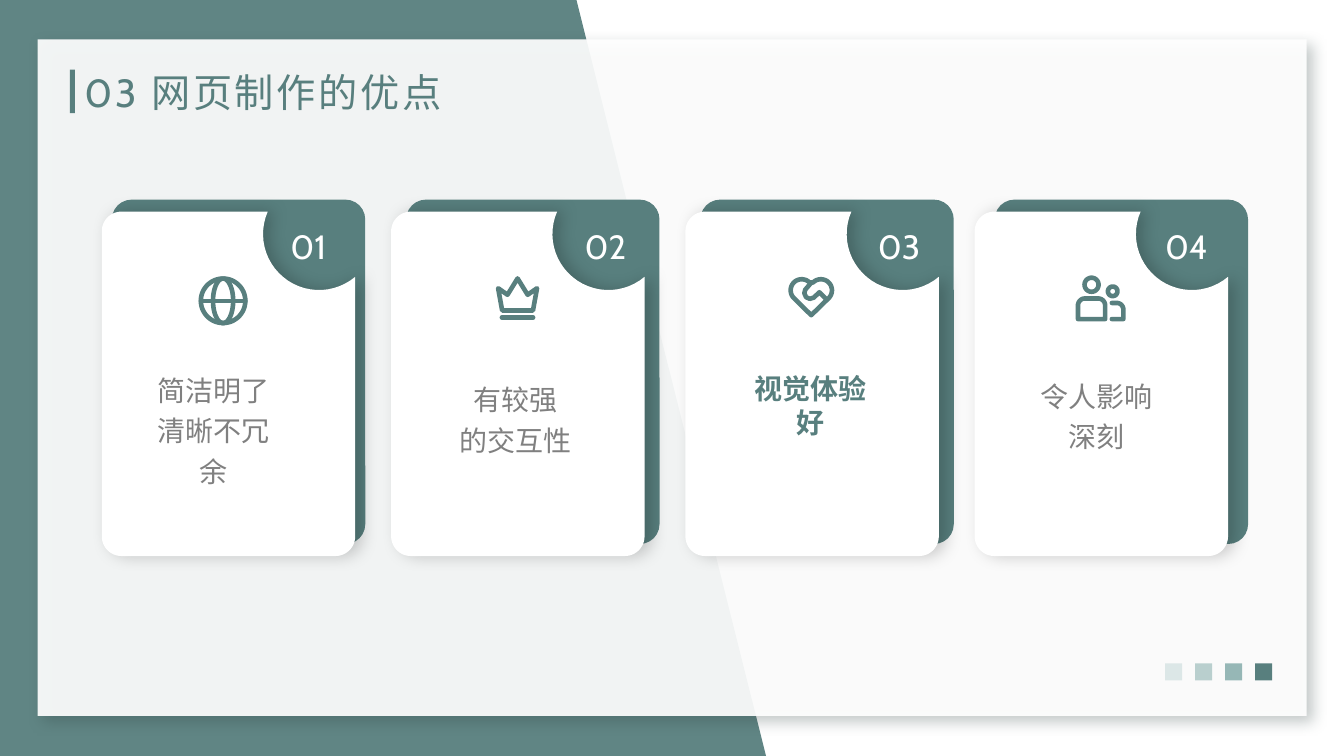
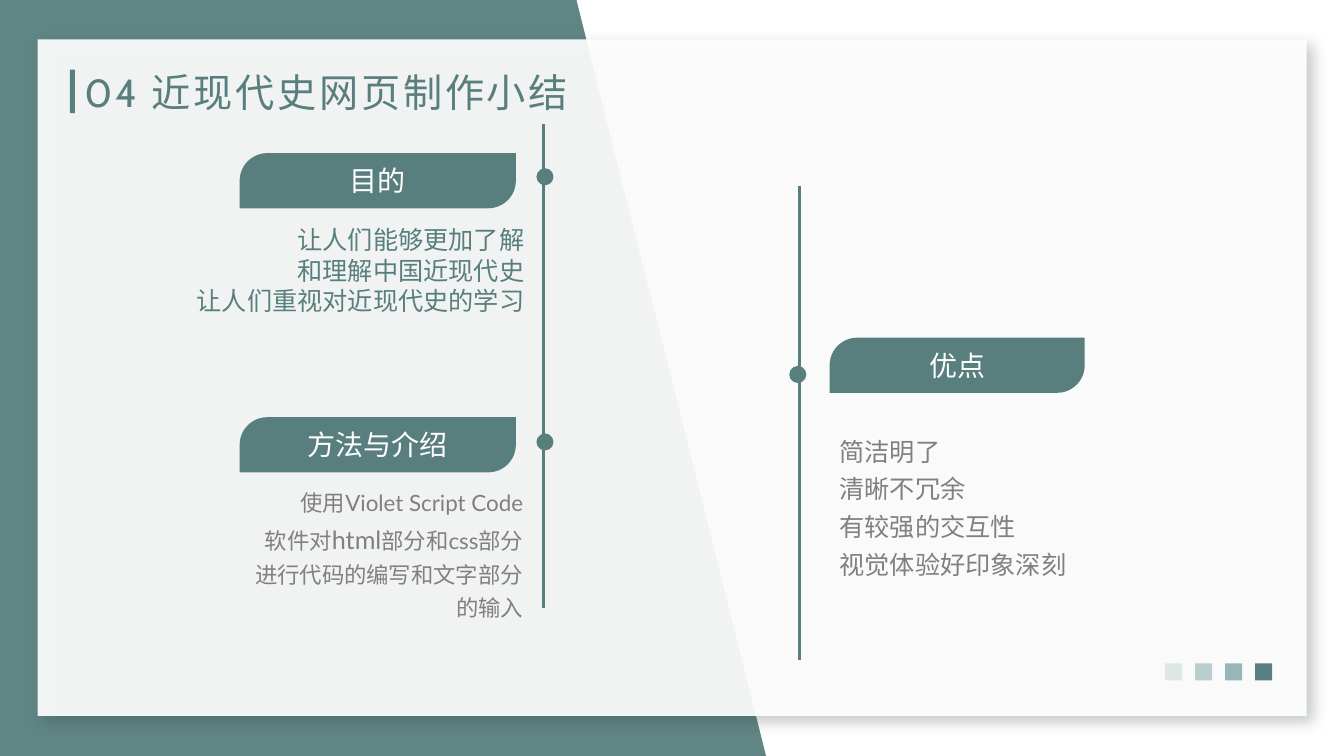
from dataclasses import dataclass
from math import asin, atan2, cos, degrees, radians, sin, sqrt

from lxml.etree import SubElement
from pptx import Presentation
from pptx.dml.color import RGBColor
from pptx.enum.lang import MSO_LANGUAGE_ID
from pptx.enum.shapes import MSO_CONNECTOR, MSO_SHAPE
from pptx.enum.text import MSO_ANCHOR, PP_ALIGN
from pptx.oxml.ns import qn
from pptx.util import Pt


@dataclass(frozen=True)
class Theme:
    teal: str = "587F7E"
    white: str = "FFFFFF"
    gray: str = "808080"
    frame_shadow: str = "2C403F"
    card_shadow: str = "000000"
    squares: tuple = ("DCE7E7", "B9CFCE", "96B7B6", "587F7E")
    heading_font: str = "Cabin"
    card_font: str = "Roboto"
    list_font: str = "Lato"
    title_size: int = 28
    number_size: int = 24
    label_size: int = 20
    body_size: int = 18
    small_size: int = 16


def arc(center_x, center_y, radius, start, end, radius_y=None):
    radius_y = radius_y or radius
    steps = max(8, int(abs(end - start) / 6))
    angles = [radians(start + (end - start) * step / steps) for step in range(steps + 1)]
    return [(center_x + radius * cos(angle), center_y + radius_y * sin(angle)) for angle in angles]


def card_outline(width=181, height=246, corner=14):
    bite_x, bite_y, bite = 155.2, 16, 40
    start = 180 + degrees(asin(bite_y / bite))
    right = width - bite_x
    end = degrees(atan2(sqrt(bite ** 2 - right ** 2), right))
    return (
        arc(corner, corner, corner, 180, 270)
        + arc(bite_x, bite_y, bite, start, end)
        + arc(width - corner, height - corner, corner, 0, 90)
        + arc(corner, height - corner, corner, 90, 180)
    )


GLOBE = [
    arc(17.6, 17.6, 15.9, 0, 360),
    arc(17.6, 17.6, 7.2, 0, 360, 15.9),
    [(1.7, 17.6), (33.5, 17.6)],
]
CROWN = [
    [(1.6, 8.6), (8.3, 13.3), (15.5, 1.6), (22.7, 13.3), (29.4, 8.6),
     (26.5, 24.5), (4.5, 24.5), (1.6, 8.6)],
    [(4.3, 29.5), (26.6, 29.5)],
]
HEART = [
    [(16.5, 27.2)] + arc(9.7, 9.4, 7.9, 135, 315)
    + arc(23.4, 9.4, 7.9, 225, 405) + [(16.5, 27.2)],
    [(16.5, 4), (12.2, 9), (11.6, 11.5), (12.8, 14.3), (15.5, 15.5),
     (18.4, 14.6), (22.3, 10.8), (27, 15.5)],
]
PEOPLE = [
    arc(11.5, 6.8, 5, 0, 360),
    arc(26.6, 11.5, 3.4, 0, 360),
    [(1.8, 31.3)] + arc(6.8, 21.6, 5, 180, 270)
    + arc(16.2, 21.6, 5, 270, 360) + [(21.2, 31.3), (1.8, 31.3)],
    [(26, 19.8)] + arc(29.5, 24.5, 4.7, 270, 360) + [(34.2, 31.3), (26, 31.3)],
]


class Deck:
    """Hold the theme and the current slide, and draw each kind of element."""

    def __init__(self, theme):
        self.theme = theme
        self.presentation = Presentation()
        self.presentation.slide_width = Pt(960)
        self.presentation.slide_height = Pt(540)
        self.slide = None

    def add_slide(self, title):
        theme = self.theme
        self.slide = self.presentation.slides.add_slide(self.presentation.slide_layouts[6])
        band = self.freeform(0, 0, [[(0, 0), (411.8, 0), (547.2, 540), (0, 540)]])
        self.paint(band, theme.teal, 95)
        frame = self.shape(MSO_SHAPE.RECTANGLE, 26.8, 28.2, 906.5, 483.2, theme.white, 92)
        self.cast_shadow(frame, theme.frame_shadow, 30, 10, 6, 45)
        for index, color in enumerate(theme.squares):
            self.shape(MSO_SHAPE.RECTANGLE, 832.3 + 21.4 * index, 473.8, 12.2, 12.2, color)
        self.shape(MSO_SHAPE.RECTANGLE, 49.9, 49.8, 3.6, 31, theme.teal)
        box = self.text([title], 53.3, 44.8, 390, 42, theme.heading_font,
                        theme.title_size, theme.teal, spacing=2)
        box.text_frame.vertical_anchor = MSO_ANCHOR.MIDDLE

    def paint(self, shape, color, opacity=100):
        shape.shadow.inherit = False
        shape.line.fill.background()
        shape.fill.solid()
        shape.fill.fore_color.rgb = RGBColor.from_string(color)
        if opacity < 100:
            color_element = shape._element.spPr.find(qn("a:solidFill"))[0]
            SubElement(color_element, qn("a:alpha"), val=str(opacity * 1000))

    def cast_shadow(self, shape, color, opacity, blur, distance, direction):
        effects = shape._element.spPr.find(qn("a:effectLst"))
        outer = SubElement(effects, qn("a:outerShdw"), blurRad=str(Pt(blur)),
                           dist=str(Pt(distance)), dir=str(direction * 60000),
                           algn="ctr", rotWithShape="0")
        color_element = SubElement(outer, qn("a:srgbClr"), val=color)
        SubElement(color_element, qn("a:alpha"), val=str(opacity * 1000))

    def shape(self, kind, left, top, width, height, color, opacity=100):
        shape = self.slide.shapes.add_shape(kind, Pt(left), Pt(top), Pt(width), Pt(height))
        self.paint(shape, color, opacity)
        return shape

    def freeform(self, left, top, contours, close=True):
        builder = None
        for contour in contours:
            points = [(Pt(left + x), Pt(top + y)) for x, y in contour]
            if builder is None:
                builder = self.slide.shapes.build_freeform(*points[0])
            else:
                builder.move_to(*points[0])
            builder.add_line_segments(points[1:], close=close)
        return builder.convert_to_shape()

    def icon(self, left, top, contours):
        shape = self.freeform(left, top, contours, close=False)
        shape.shadow.inherit = False
        shape.fill.background()
        shape.line.color.rgb = RGBColor.from_string(self.theme.teal)
        shape.line.width = Pt(3.3)
        outline = shape._element.spPr.find(qn("a:ln"))
        outline.set("cap", "rnd")
        SubElement(outline, qn("a:round"))

    def fill_text(self, frame, lines, font, size, color, align=PP_ALIGN.LEFT, line_spacing=1.0,
                  bold=False, spacing=0, indent=0, larger=None):
        frame.text = "\n".join(lines)
        for paragraph, line in zip(frame.paragraphs, lines):
            paragraph.alignment = align
            paragraph.line_spacing = line_spacing
            if indent:
                paragraph._p.get_or_add_pPr().set("indent", str(Pt(indent)))
            if larger and larger in line:
                before, word, after = line.partition(larger)
                paragraph.text = before
                for piece in (word, after):
                    paragraph.add_run().text = piece
            for run in paragraph.runs:
                run.font.name = font
                run.font.size = Pt(size + 2 if run.text == larger else size)
                run.font.bold = bold
                run.font.color.rgb = RGBColor.from_string(color)
                run.font.language_id = MSO_LANGUAGE_ID.SIMPLIFIED_CHINESE
                if spacing:
                    run._r.get_or_add_rPr().set("spc", str(spacing * 100))

    def text(self, lines, left, top, width, height, font, size, color, inset=True, **style):
        box = self.slide.shapes.add_textbox(Pt(left), Pt(top), Pt(width), Pt(height))
        frame = box.text_frame
        frame.word_wrap = True
        if not inset:
            frame.margin_left = frame.margin_right = Pt(0)
            frame.margin_top = frame.margin_bottom = Pt(0)
        self.fill_text(frame, lines, font, size, color, **style)
        return box

    def card(self, back_left, front_left, number, number_left):
        theme = self.theme
        back = self.shape(MSO_SHAPE.ROUNDED_RECTANGLE, back_left, 142.6, 181, 246, theme.teal)
        back.adjustments[0] = 0.078
        front = self.freeform(front_left, 151.2, [card_outline()])
        self.paint(front, theme.white)
        self.cast_shadow(front, theme.card_shadow, 20, 12, 5, 0)
        self.text([number], number_left, 161.3, 34, 28.8, theme.heading_font,
                  theme.number_size, theme.white, inset=False)

    def label(self, text, left, top, width):
        theme = self.theme
        shape = self.shape(MSO_SHAPE.ROUND_2_DIAG_RECTANGLE, left, top, width, 39.4, theme.teal)
        shape.adjustments[0] = 0.5
        shape.adjustments[1] = 0
        shape.text_frame.vertical_anchor = MSO_ANCHOR.MIDDLE
        self.fill_text(shape.text_frame, [text], theme.heading_font, theme.label_size,
                       theme.white, align=PP_ALIGN.CENTER)

    def timeline(self, x, top, bottom, dot_left, dot_tops):
        line = self.slide.shapes.add_connector(
            MSO_CONNECTOR.STRAIGHT, Pt(x), Pt(top), Pt(x), Pt(bottom))
        line.line.color.rgb = RGBColor.from_string(self.theme.teal)
        line.line.width = Pt(2)
        SubElement(line._element.spPr, qn("a:effectLst"))
        for dot_top in dot_tops:
            self.shape(MSO_SHAPE.OVAL, dot_left, dot_top, 12.2, 12.2, self.theme.teal)


def build_advantages(deck):
    theme = deck.theme
    deck.add_slide("03 网页制作的优点")
    plain = dict(color=theme.gray, line_spacing=1.2, align=PP_ALIGN.CENTER)
    indented = dict(color=theme.gray, line_spacing=1.2, indent=9.7)
    strong = dict(color=theme.teal, bold=True, align=PP_ALIGN.CENTER)
    cards = [
        (72.7, 207.4, GLOBE, (141.8, 197.3), ["简洁明了", "清晰不冗余"],
         (103.7, 262.1, 97.2, 87), plain),
        (279.4, 417.6, CROWN, (354.2, 197.3), ["有较强的交互性"],
         (328.3, 268.6, 88.6, 56), indented),
        (489.6, 627.1, HEART, (563, 198), ["视觉体验", "好"],
         (517.7, 265.7, 122.4, 48), strong),
        (696.2, 832.3, PEOPLE, (768.2, 196.6), ["令人影响深刻"],
         (737.3, 266.4, 91.4, 56), plain),
    ]
    for index, (left, number_left, icon, place, lines, bounds, style) in enumerate(cards):
        deck.card(79.9 + 210.2 * index, left, f"{index + 1:02d}", number_left)
        deck.icon(*place, icon)
        deck.text(lines, *bounds, theme.card_font, theme.label_size, inset=False, **style)


def build_summary(deck):
    theme = deck.theme
    deck.add_slide("04 近现代史网页制作小结")
    deck.timeline(388.1, 88.6, 434.2, 383.2, (120.2, 309.6))
    deck.timeline(571, 133.2, 471.6, 563.8, (261.4,))
    deck.label("目的", 171.2, 109.4, 197.3)
    deck.label("方法与介绍", 171.2, 298, 197.3)
    deck.label("优点", 592.6, 241.2, 182.2)
    deck.text(["让人们能够更加了解", "和理解中国近现代史", "让人们重视对近现代史的学习"],
              121, 157, 260.6, 72.7, theme.card_font, theme.body_size, theme.teal,
              align=PP_ALIGN.RIGHT)
    deck.text(["使用Violet Script Code", "软件对html部分和css部分", "进行代码的编写和文字部分的输入"],
              163.4, 341.3, 217.4, 105, theme.list_font, theme.small_size, theme.gray,
              align=PP_ALIGN.RIGHT, line_spacing=1.25, larger="html")
    deck.text(["简洁明了", "清晰不冗余", "有较强的交互性", "视觉体验好印象深刻"],
              592.6, 302.4, 203.8, 114.5, theme.list_font, theme.body_size, theme.gray,
              line_spacing=1.25)


def main():
    deck = Deck(Theme())
    build_advantages(deck)
    build_summary(deck)
    deck.presentation.save("out.pptx")


if __name__ == "__main__":
    main()
